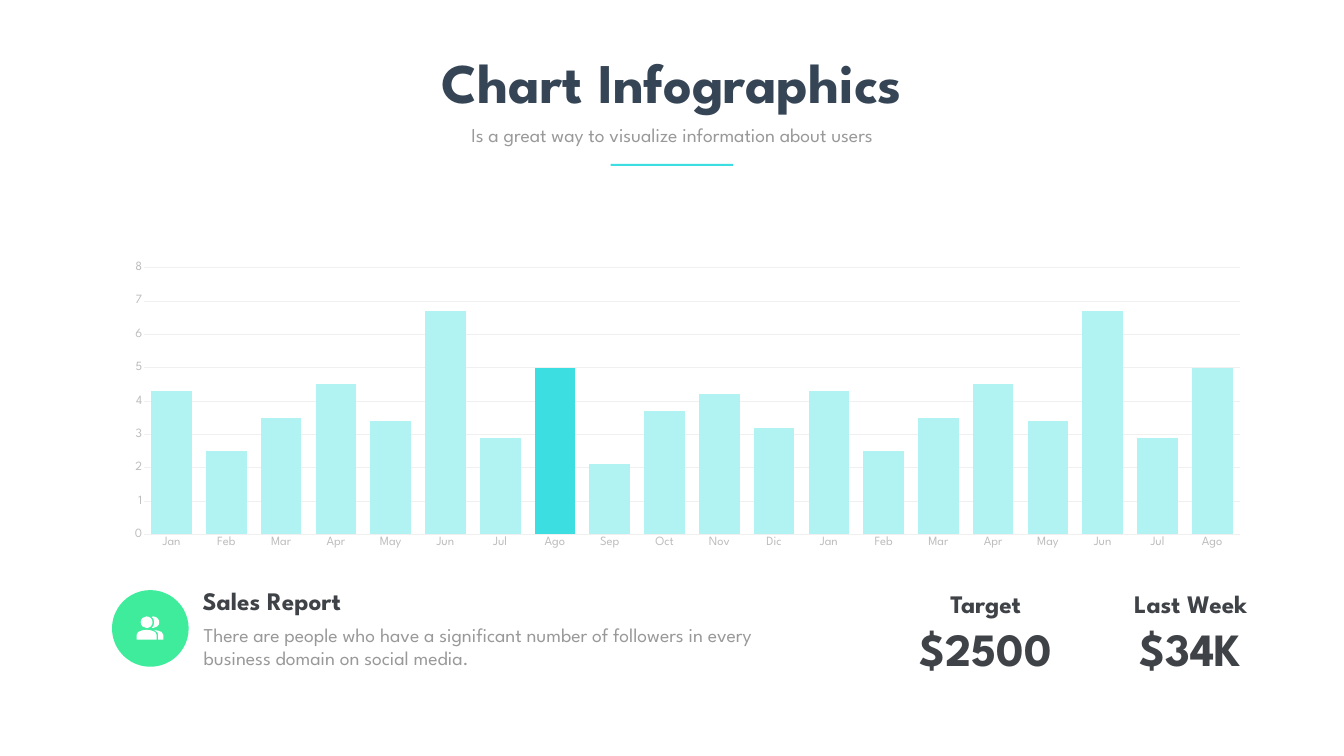
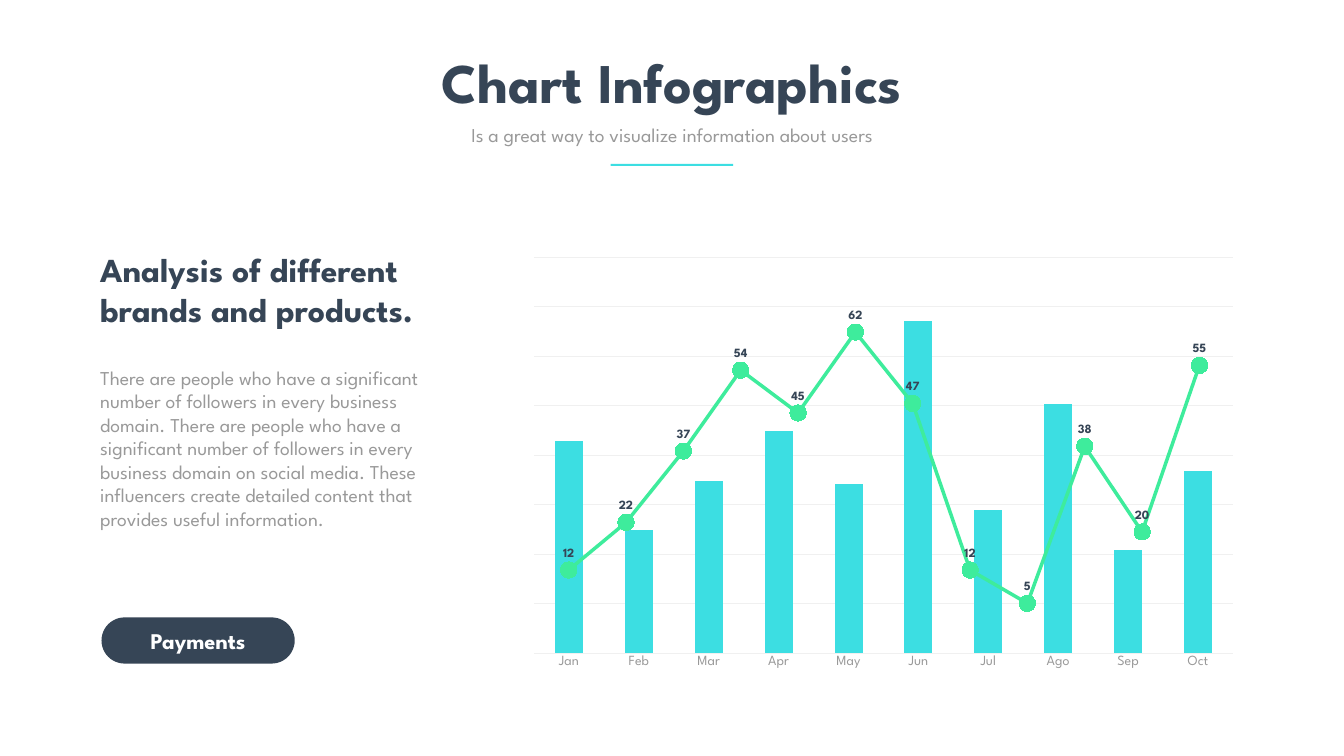
import pptx
import pptx.chart.data
import pptx.dml.color
import pptx.enum.chart
import pptx.enum.shapes
import pptx.enum.text
import pptx.oxml
import pptx.oxml.ns
import pptx.util

Pt = pptx.util.Pt
ALIGN = pptx.enum.text.PP_ALIGN
ANCHOR = pptx.enum.text.MSO_ANCHOR
SHAPE = pptx.enum.shapes.MSO_SHAPE
CHART = pptx.enum.chart.XL_CHART_TYPE

# Shared look
FONT = "League Spartan"
COLORS = {
    "navy": "364556", "charcoal": "3F4347", "gray": "999999", "axis": "BDBDBD",
    "grid": "F0F0F0", "aqua": "3CDEE2", "pale_aqua": "B1F2F3",
    "green": "3EEC9C", "white": "FFFFFF",
}

# Content
TITLE = "Chart Infographics"
SUBTITLE = "Is a great way to visualize information about users"

MONTHS = ["Jan", "Feb", "Mar", "Apr", "May", "Jun", "Jul", "Ago", "Sep", "Oct", "Nov", "Dic"]
SALES_VALUES = [4.3, 2.5, 3.5, 4.5, 3.4, 6.7, 2.9, 5, 2.1, 3.7, 4.2, 3.2]
REPEATED_MONTHS = 8
HIGHLIGHTED_MONTH = 7
REPORT_HEADING = "Sales Report"
REPORT_TEXT = ("There are people who have a significant number of followers in every "
               "business domain on social media.")
FIGURES = [("Target", "$2500"), ("Last Week", "$34K")]

BRAND_VALUES = [64, 37, 52, 67, 51, 100, 43, 75, 31, 55]
TREND_VALUES = [12, 22, 37, 54, 45, 62, 47, 12, 5, 38, 20, 55]
ANALYSIS_HEADING = "Analysis of different brands and products."
ANALYSIS_TEXT = (
    "There are people who have a significant number of followers in every business domain. "
    "There are people who have a significant number of followers in every business domain on "
    "social media. These influencers create detailed content that provides useful information.")
BUTTON_TEXT = "Payments"

# Users icon: start point, then lines (2 numbers) and curves (6 numbers)
ICON_ORIGIN = (195.1, 880.6)
ICON_UNIT = 0.72
ICON_OUTLINES = [
    [(50, 31), (45, 29, 40, 27, 35, 27), (36, 27, 37, 28, 38, 29), (41, 30, 43, 34, 43, 37),
     (43, 46), (53, 46), (53, 37), (53, 35, 52, 33, 50, 31)],
    [(37, 31), (27, 25, 13, 25, 3, 31), (1, 33, 0, 35, 0, 37), (0, 46), (40, 46), (40, 37),
     (40, 35, 39, 33, 37, 31)],
    [(30, 23), (31, 23, 32, 23, 33, 23), (39, 23, 45, 18, 45, 12), (45, 5, 39, 0, 33, 0),
     (32, 0, 31, 0, 30, 1), (33, 3, 35, 7, 35, 12), (35, 16, 33, 20, 30, 23)],
    [(28, 3), (33, 8, 33, 15, 28, 20), (23, 24, 16, 24, 12, 20), (7, 15, 7, 8, 12, 3),
     (16, -1, 23, -1, 28, 3)],
]


def color(name):
    return pptx.dml.color.RGBColor.from_string(COLORS[name])


def style_font(font, size, color_name, bold=False):
    font.name = FONT
    font.size = Pt(size)
    font.bold = bold
    font.color.rgb = color(color_name)


def write_text(shape, text, size, color_name, bold=False, align=ALIGN.LEFT,
               anchor=ANCHOR.TOP, inset=None, spacing=None):
    frame = shape.text_frame
    frame.word_wrap = True
    frame.auto_size = pptx.enum.text.MSO_AUTO_SIZE.NONE
    frame.vertical_anchor = anchor
    if inset is not None:
        frame.margin_left = frame.margin_right = Pt(inset)
        frame.margin_top = frame.margin_bottom = Pt(inset)
    paragraph = frame.paragraphs[0]
    paragraph.alignment = align
    if spacing:
        paragraph.line_spacing = spacing
    run = paragraph.add_run()
    run.text = text
    style_font(run.font, size, color_name, bold)


def add_text(slide, box, *text, **style):
    write_text(slide.shapes.add_textbox(*map(Pt, box)), *text, **style)


def add_label(slide, box, text, size, align=ALIGN.CENTER, spacing=None):
    add_text(slide, box, text, size, "charcoal", bold=True, align=align,
             anchor=ANCHOR.MIDDLE, inset=4.3, spacing=spacing)


def fill_plain(shape, color_name):
    shape.shadow.inherit = False
    shape.fill.solid()
    shape.fill.fore_color.rgb = color(color_name)
    shape.line.fill.background()


def add_block(slide, kind, box, color_name):
    shape = slide.shapes.add_shape(kind, *map(Pt, box))
    fill_plain(shape, color_name)
    return shape


def add_icon(slide):
    qn = pptx.oxml.ns.qn
    for outline in ICON_OUTLINES:
        points = [tuple(Pt(origin + value * ICON_UNIT)
                        for origin, value in zip(ICON_ORIGIN, segment[start:start + 2]))
                  for segment in outline for start in range(0, len(segment), 2)]
        builder = slide.shapes.build_freeform(*points[0], scale=1.0)
        builder.add_line_segments(points[1:], close=True)
        shape = builder.convert_to_shape()
        fill_plain(shape, "white")

        # Each run of three control points becomes one Bezier curve
        lines = iter(shape.element.findall(".//" + qn("a:lnTo")))
        for segment in outline[1:]:
            first = next(lines)
            if len(segment) == 6:
                first.tag = qn("a:cubicBezTo")
                for control in (next(lines), next(lines)):
                    first.append(control[0])
                    control.getparent().remove(control)


def clear_chart_background(chart, box, plot_box):
    """Make the chart transparent and fix the inner plot area."""
    namespace = pptx.oxml.ns.nsdecls("c", "a")
    no_fill = f"<c:spPr {namespace}><a:noFill/><a:ln><a:noFill/></a:ln></c:spPr>"
    chart_element = chart._chartSpace.find(pptx.oxml.ns.qn("c:chart"))
    plot_area = chart_element.find(pptx.oxml.ns.qn("c:plotArea"))
    for old in plot_area.findall(pptx.oxml.ns.qn("c:layout")):
        plot_area.remove(old)
    left, top, width, height = box
    layout = ((plot_box[0] - left) / width, (plot_box[1] - top) / height,
              plot_box[2] / width, plot_box[3] / height)
    sizes = "".join(f'<c:{tag} val="{value:.4f}"/>' for tag, value in zip("xywh", layout))
    plot_area.insert(0, pptx.oxml.parse_xml(
        f'<c:layout {namespace}><c:manualLayout><c:layoutTarget val="inner"/>'
        f'<c:xMode val="edge"/><c:yMode val="edge"/>{sizes}</c:manualLayout></c:layout>'))
    plot_area.append(pptx.oxml.parse_xml(no_fill))
    chart_element.addnext(pptx.oxml.parse_xml(no_fill))


def add_chart(slide, kind, box, plot_box, categories, values, maximum, step, size,
              axis_color=None, show_values=False, grid=True):
    data = pptx.chart.data.CategoryChartData()
    data.categories = categories
    data.add_series("Series 1", values)
    chart = slide.shapes.add_chart(kind, *map(Pt, box), data).chart
    chart.has_legend = False
    chart.has_title = False
    style_font(chart.font, size, "gray")
    chart.plots[0].vary_by_categories = False

    category_axis, value_axis = chart.category_axis, chart.value_axis
    for axis in (category_axis, value_axis):
        axis.major_tick_mark = axis.minor_tick_mark = pptx.enum.chart.XL_TICK_MARK.NONE
    category_axis.visible = axis_color is not None
    if axis_color:
        style_font(category_axis.tick_labels.font, size, axis_color)
        category_axis.format.line.color.rgb = color("grid")
        category_axis.format.line.width = Pt(0.75)
    value_axis.visible = show_values
    if show_values:
        style_font(value_axis.tick_labels.font, size, axis_color)
        value_axis.format.line.fill.background()
    value_axis.minimum_scale = 0
    value_axis.maximum_scale = maximum
    value_axis.major_unit = step
    value_axis.has_major_gridlines = grid
    if grid:
        value_axis.major_gridlines.format.line.color.rgb = color("grid")
        value_axis.major_gridlines.format.line.width = Pt(0.75)
    clear_chart_background(chart, box, plot_box)
    return chart


def style_columns(chart, color_name, gap, overlap):
    plot = chart.plots[0]
    plot.gap_width = gap
    plot.overlap = overlap
    series = plot.series[0]
    series.format.fill.solid()
    series.format.fill.fore_color.rgb = color(color_name)
    return series


def style_trend(chart):
    series = chart.plots[0].series[0]
    series.smooth = False
    series.format.line.color.rgb = color("green")
    series.format.line.width = Pt(5)
    marker = series.marker
    marker.style = pptx.enum.chart.XL_MARKER_STYLE.CIRCLE
    marker.size = 23
    marker.format.fill.solid()
    marker.format.fill.fore_color.rgb = color("white")
    marker.format.line.color.rgb = color("green")
    labels = series.data_labels
    labels.show_value = True
    labels.position = pptx.enum.chart.XL_LABEL_POSITION.ABOVE
    style_font(labels.font, 18, "navy", bold=True)


def add_titled_slide(presentation):
    slide = presentation.slides.add_slide(presentation.slide_layouts[5])
    title = slide.shapes.title
    title.left, title.top, title.width, title.height = map(Pt, (495, 64, 930, 104))
    write_text(title, TITLE, 80, "navy", bold=True, align=ALIGN.CENTER)
    add_text(slide, (616, 172, 688, 41), SUBTITLE, 28, "gray", align=ALIGN.CENTER)
    add_block(slide, SHAPE.RECTANGLE, (872.5, 234, 175, 3), "aqua")
    return slide


def build_sales_slide(presentation):
    slide = add_titled_slide(presentation)
    chart = add_chart(slide, CHART.COLUMN_STACKED, (160, 364, 1644, 427),
                      (206, 382, 1565, 381.5), MONTHS + MONTHS[:REPEATED_MONTHS],
                      SALES_VALUES + SALES_VALUES[:REPEATED_MONTHS], 8, 1, 18,
                      axis_color="axis", show_values=True)
    series = style_columns(chart, "pale_aqua", gap=35, overlap=-100)
    highlight = series.points[HIGHLIGHTED_MONTH].format.fill
    highlight.solid()
    highlight.fore_color.rgb = color("aqua")

    # Key figures
    for index, (name, amount) in enumerate(FIGURES):
        left = 1269 + index * 293
        add_label(slide, (left, 848, 278, 39), name, 36, spacing=0.7)
        add_label(slide, (left, 882, 278, 88), amount, 66)

    # Sales report
    add_block(slide, SHAPE.OVAL, (160, 843, 109.5, 109.5), "green")
    add_icon(slide)
    add_text(slide, (284, 886, 867, 75), REPORT_TEXT, 28, "gray")
    add_label(slide, (285, 843, 278, 39), REPORT_HEADING, 36, align=ALIGN.LEFT, spacing=0.7)


def build_analysis_slide(presentation):
    slide = add_titled_slide(presentation)

    # Columns with the trend line laid over them
    grid_step = 14.93
    columns = add_chart(slide, CHART.COLUMN_STACKED, (743, 355, 1040, 612),
                        (763, 367, 998.5, 566), MONTHS[:len(BRAND_VALUES)], BRAND_VALUES,
                        8 * grid_step, grid_step, 20, axis_color="gray")
    style_columns(columns, "aqua", gap=150, overlap=100)
    trend = add_chart(slide, CHART.LINE_MARKERS, (751, 410, 1024, 496),
                      (771.5, 420, 983, 476),
                      [str(number + 1) for number in range(len(TREND_VALUES))],
                      TREND_VALUES, 70, 10, 18, grid=False)
    style_trend(trend)

    # Analysis text and button
    add_text(slide, (136, 518.5, 521, 279), ANALYSIS_TEXT, 28, "gray")
    add_text(slide, (136, 351.5, 521, 124), ANALYSIS_HEADING, 48, "navy", bold=True)
    button = add_block(slide, SHAPE.ROUNDED_RECTANGLE, (145, 882, 276, 66), "navy")
    button.adjustments[0] = 0.5
    write_text(button, BUTTON_TEXT, 32, "white", bold=True, align=ALIGN.CENTER,
               anchor=ANCHOR.MIDDLE)


def main():
    presentation = pptx.Presentation()
    presentation.slide_width = Pt(1920)
    presentation.slide_height = Pt(1080)
    build_sales_slide(presentation)
    build_analysis_slide(presentation)
    presentation.save("out.pptx")


if __name__ == "__main__":
    main()
